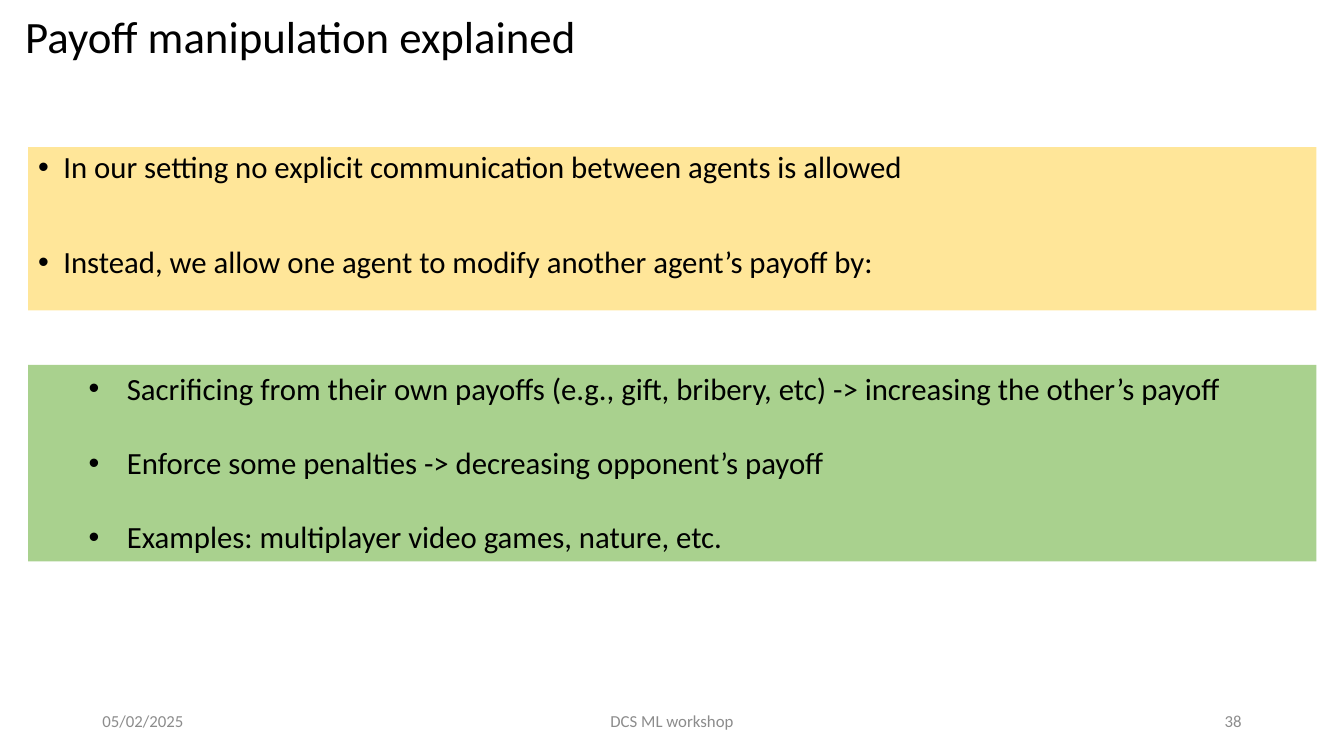
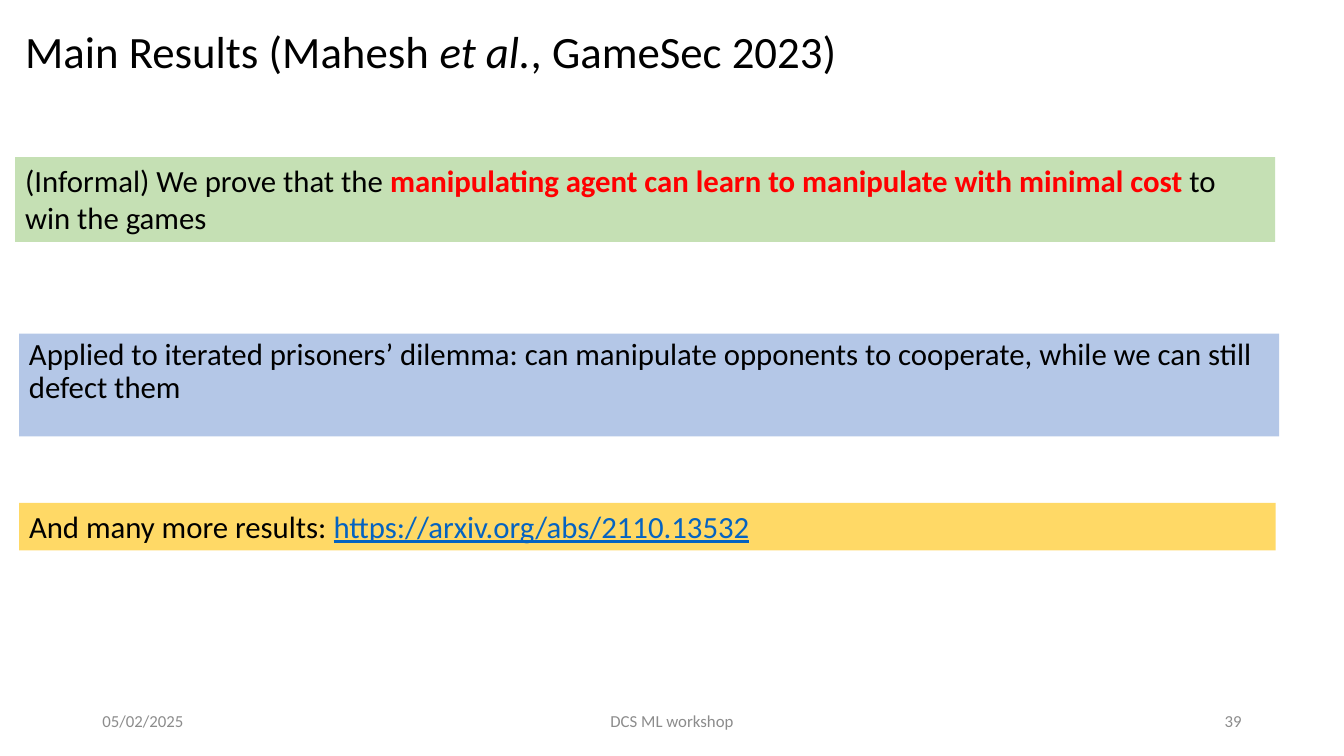
from lxml import etree
from pptx import Presentation
from pptx.dml.color import RGBColor
from pptx.enum.text import MSO_ANCHOR, PP_ALIGN
from pptx.oxml.ns import qn
from pptx.util import Inches, Pt

TOP, MIDDLE = MSO_ANCHOR.TOP, MSO_ANCHOR.MIDDLE
LEFT, CENTER, RIGHT = PP_ALIGN.LEFT, PP_ALIGN.CENTER, PP_ALIGN.RIGHT

BLACK = RGBColor(0x00, 0x00, 0x00)
GREY = RGBColor(0x8C, 0x8C, 0x8C)
RED = RGBColor(0xFF, 0x00, 0x00)
LINK_BLUE = RGBColor(0x05, 0x63, 0xC1)
CREAM = RGBColor(0xFF, 0xE6, 0x99)
GOLD = RGBColor(0xFF, 0xD9, 0x66)
GREEN = RGBColor(0xA9, 0xD1, 0x8E)
PALE_GREEN = RGBColor(0xC5, 0xE0, 0xB4)
PALE_BLUE = RGBColor(0xB4, 0xC7, 0xE7)

FONT = "Calibri"
TITLE_SIZE, BODY_SIZE, FOOTER_SIZE = 32, 22, 12
TIGHT = 0.9


def add_span(para, text, size=BODY_SIZE, color=BLACK, bold=False, italic=False,
             underline=False):
    span = para.add_run()
    span.text = text
    font = span.font
    font.name, font.size, font.color.rgb = FONT, Pt(size), color
    font.bold, font.italic, font.underline = bold, italic, underline


def add_bullet(para, indent, hanging):
    """Give the paragraph a round bullet; both lengths are in inches."""
    properties = para._p.get_or_add_pPr()
    properties.set("marL", str(Inches(indent)))
    properties.set("indent", str(-Inches(hanging)))
    etree.SubElement(properties, qn("a:buFont")).set("typeface", "Arial")
    etree.SubElement(properties, qn("a:buChar")).set("char", "•")


class SlideWriter:
    """Holds the deck and its current page; places are percentages of the page."""

    def __init__(self):
        self.deck = Presentation()
        self.deck.slide_width = Inches(13.33)
        self.deck.slide_height = Inches(7.5)
        self.page = None

    def start_page(self, number):
        self.page = self.deck.slides.add_slide(self.deck.slide_layouts[6])
        margin, side, middle = 6.88, 22.5, 33.75
        footers = [
            ("05/02/2025", margin, side, LEFT),
            ("DCS ML workshop", (100 - middle) / 2, middle, CENTER),
            (str(number), 100 - margin - side, side, RIGHT),
        ]
        for text, left, width, align in footers:
            self.text((left, 92.67, width, 5.33), [text], anchor=MIDDLE,
                      align=align, size=FOOTER_SIZE, color=GREY)

    def text(self, place, paras, fill=None, anchor=TOP, align=LEFT, line=1.0,
             gap=0, bullet=None, **style):
        """Write paragraphs, each a string or a list of (text, format) spans."""
        left, top, width, height = place
        across, down = self.deck.slide_width / 100, self.deck.slide_height / 100
        box = self.page.shapes.add_textbox(
            round(left * across), round(top * down),
            round(width * across), round(height * down))
        if fill is not None:
            box.fill.solid()
            box.fill.fore_color.rgb = fill
        frame = box.text_frame
        frame.word_wrap = True
        frame.vertical_anchor = anchor
        for index, content in enumerate(paras):
            para = frame.add_paragraph() if index else frame.paragraphs[0]
            if bullet:
                add_bullet(para, *bullet)
            para.alignment = align
            para.line_spacing = line
            para.space_before = Pt(gap if index else 0)
            spans = [(content, {})] if isinstance(content, str) else content
            for words, extra in spans:
                add_span(para, words, **{**style, **extra})

    def title(self, content, top, height):
        self.text((1.13, top, 86.25, height), [content], anchor=MIDDLE,
                  line=TIGHT, size=TITLE_SIZE)


def payoff_page(writer):
    writer.start_page(38)
    writer.title("Payoff manipulation explained", 0.67, 8.93)
    left, width = 2.1, 95.85
    writer.text((left, 19.47, width, 21.6), [
        "In our setting no explicit communication between agents is allowed",
        "Instead, we allow one agent to modify another agent’s payoff by:",
    ], fill=CREAM, line=TIGHT, gap=44, bullet=(0.25, 0.25))
    writer.text((left, 48.27, width, 26), [
        "Sacrificing from their own payoffs (e.g., gift, bribery, etc) -> "
        "increasing the other’s payoff",
        "Enforce some penalties -> decreasing opponent’s payoff",
        "Examples: multiplayer video games, nature, etc.",
    ], fill=GREEN, gap=26.5, bullet=(0.88, 0.38))


def results_page(writer):
    writer.start_page(39)
    writer.title([
        ("Main Results (Mahesh ", {}),
        ("et al.", {"italic": True}),
        (", GameSec 2023)", {}),
    ], 2, 10.4)
    writer.text((1.13, 20.8, 93.75, 11.2), [[
        ("(Informal) We prove that the ", {}),
        ("manipulating agent can learn to manipulate with minimal cost",
         {"color": RED, "bold": True}),
        (" to win the games", {}),
    ]], fill=PALE_GREEN)
    writer.text((1.42, 44.13, 93.75, 13.6), [
        "Applied to iterated prisoners’ dilemma: can manipulate opponents to "
        "cooperate, while we can still defect them",
    ], fill=PALE_BLUE, line=TIGHT)
    writer.text((1.42, 66.53, 93.5, 6.27), [[
        ("And many more results: ", {}),
        ("https://arxiv.org/abs/2110.13532",
         {"color": LINK_BLUE, "underline": True}),
    ]], fill=GOLD)


def main():
    writer = SlideWriter()
    payoff_page(writer)
    results_page(writer)
    writer.deck.save("out.pptx")


if __name__ == "__main__":
    main()
